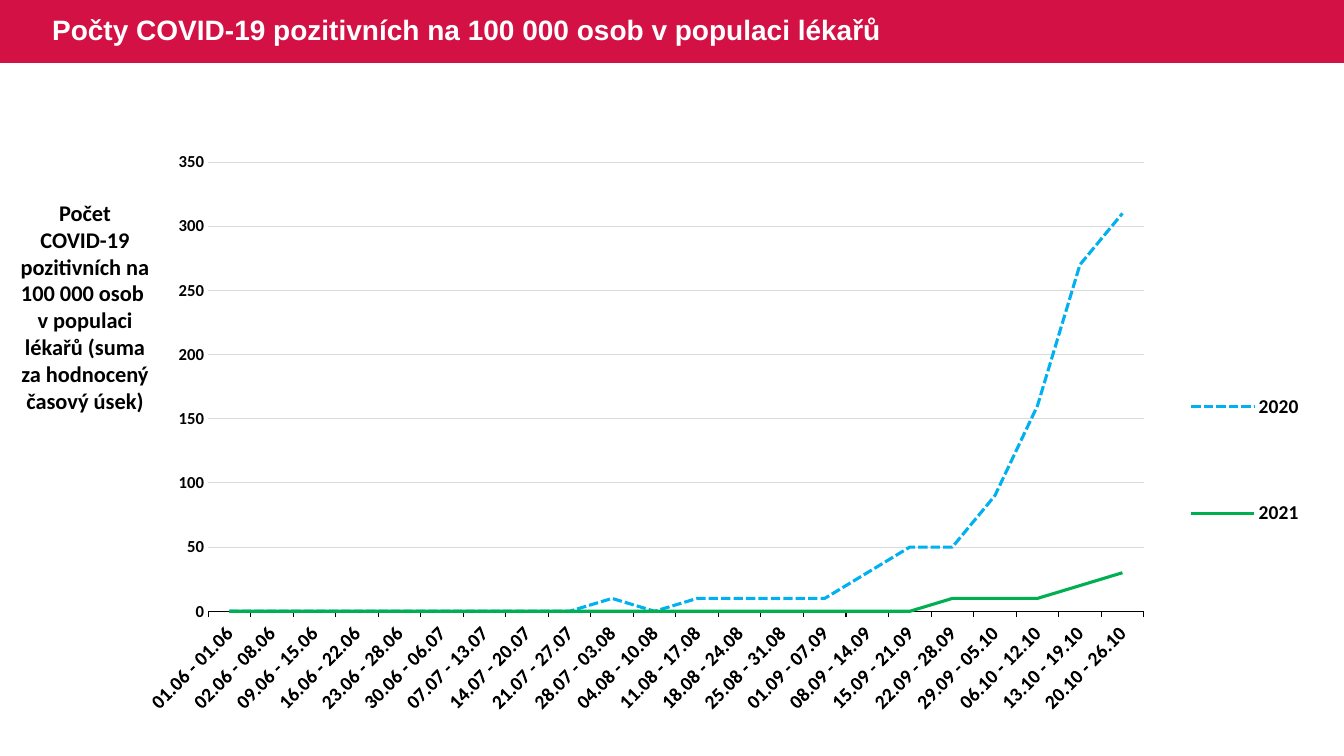
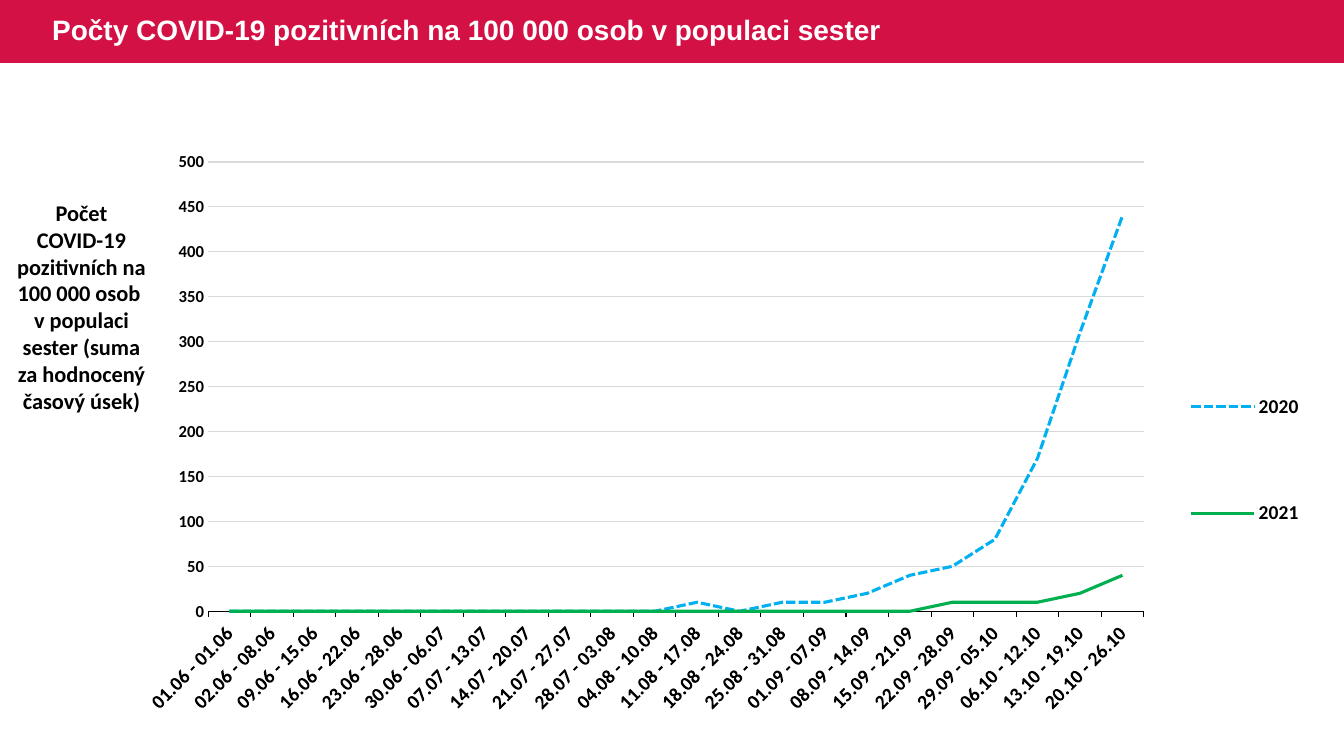
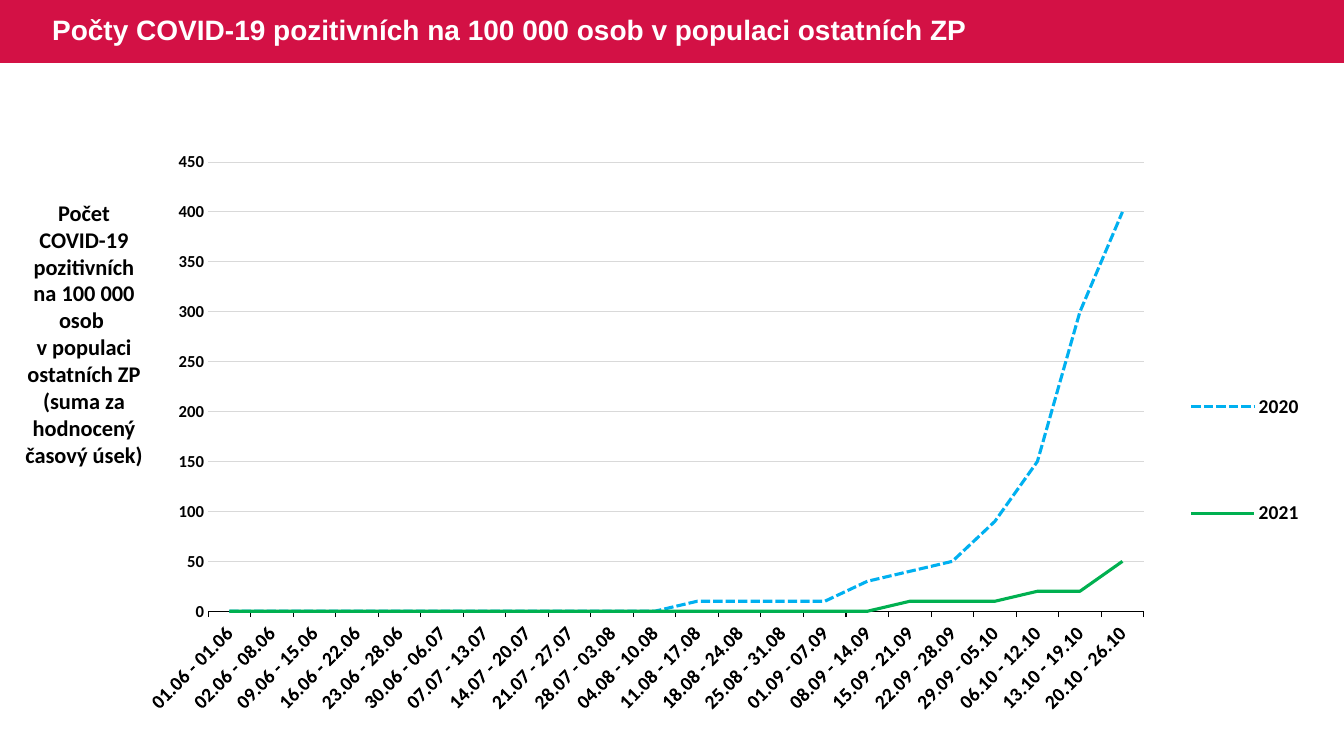
from dataclasses import dataclass

from lxml.etree import SubElement
from pptx import Presentation
from pptx.chart.chart import Chart
from pptx.chart.data import CategoryChartData
from pptx.dml.color import RGBColor
from pptx.enum.chart import XL_CHART_TYPE as ChartType
from pptx.enum.chart import XL_LEGEND_POSITION as LegendPosition
from pptx.enum.chart import XL_TICK_MARK as TickMark
from pptx.enum.dml import MSO_LINE as Dash
from pptx.enum.shapes import MSO_SHAPE as Preset
from pptx.enum.text import MSO_ANCHOR as Anchor
from pptx.enum.text import MSO_AUTO_SIZE as AutoSize
from pptx.enum.text import PP_ALIGN as Align
from pptx.oxml.ns import qn
from pptx.slide import Slide
from pptx.text.text import Font
from pptx.util import Emu, Pt

# Shared look
RED = RGBColor(0xD3, 0x11, 0x45)
WHITE = RGBColor(0xFF, 0xFF, 0xFF)
BLACK = RGBColor(0x00, 0x00, 0x00)
GRID_GREY = RGBColor(0xD9, 0xD9, 0xD9)
BLUE = RGBColor(0x00, 0xB0, 0xF0)
GREEN = RGBColor(0x00, 0xB0, 0x50)
TITLE_FONT = "Arial"
BODY_FONT = "Calibri"

PX_PER_INCH = 100.8
SLIDE_WIDTH, SLIDE_HEIGHT = 1344, 756
BAND_HEIGHT = 63
TITLE_LEFT = 42
LABEL_TOP = 194
CHART_BOX = (146, 152, 1175, 592)
PLOT_AREA = (0.045, 0.017, 0.803, 0.759)
LEGEND_AREA = (0.88, 0.27, 0.11, 0.5)

PERIODS = [
    "01.06 - 01.06", "02.06 - 08.06", "09.06 - 15.06", "16.06 - 22.06",
    "23.06 - 28.06", "30.06 - 06.07", "07.07 - 13.07", "14.07 - 20.07",
    "21.07 - 27.07", "28.07 - 03.08", "04.08 - 10.08", "11.08 - 17.08",
    "18.08 - 24.08", "25.08 - 31.08", "01.09 - 07.09", "08.09 - 14.09",
    "15.09 - 21.09", "22.09 - 28.09", "29.09 - 05.10", "06.10 - 12.10",
    "13.10 - 19.10", "20.10 - 26.10",
]


@dataclass(frozen=True)
class Population:
    name: str
    title_width: int
    label_left: int
    label_width: int
    label_height: int
    axis_max: int
    cases_2020: list[int]
    cases_2021: list[int]


POPULATIONS = [
    Population(
        "lékařů", 930, 6, 158, 228, 350,
        [0] * 9 + [10, 0, 10, 10, 10, 10, 30, 50, 50, 90, 160, 270, 310],
        [0] * 17 + [10, 10, 10, 20, 30],
    ),
    Population(
        "sester", 893, 5, 153, 228, 500,
        [0] * 11 + [10, 0, 10, 10, 20, 40, 50, 80, 170, 310, 440],
        [0] * 17 + [10, 10, 10, 20, 40],
    ),
    Population(
        "ostatních ZP", 954, 15, 138, 281, 450,
        [0] * 11 + [10, 10, 10, 10, 30, 40, 50, 90, 150, 300, 400],
        [0] * 16 + [10, 10, 10, 20, 20, 50],
    ),
]


def px(length: int) -> Emu:
    return Emu(round(length * 914400 / PX_PER_INCH))


def style_font(font: Font, name: str, size: int, color: RGBColor) -> None:
    font.name = name
    font.size = Pt(size)
    font.bold = True
    font.color.rgb = color


def add_band(deck: Presentation, page: Slide) -> None:
    """Draw the red band and move it to the back of the slide master."""
    band = page.shapes.add_shape(Preset.RECTANGLE, 0, 0, px(SLIDE_WIDTH), px(BAND_HEIGHT))
    band.shadow.inherit = False
    band.fill.solid()
    band.fill.fore_color.rgb = RED
    band.line.fill.background()
    deck.slide_master.shapes.element.insert(2, band.element)


def set_title(page: Slide, population: Population) -> None:
    title = page.shapes.title
    title.left, title.top = px(TITLE_LEFT), px(0)
    title.width, title.height = px(population.title_width), px(BAND_HEIGHT)
    frame = title.text_frame
    frame.text = f"Počty COVID-19 pozitivních na 100 000 osob v populaci {population.name}"
    frame.auto_size = AutoSize.NONE
    frame.vertical_anchor = Anchor.MIDDLE
    para = frame.paragraphs[0]
    para.alignment = Align.LEFT
    para.line_spacing = 0.9
    style_font(para.runs[0].font, TITLE_FONT, 20, WHITE)


def add_label(page: Slide, population: Population) -> None:
    box = page.shapes.add_textbox(
        px(population.label_left), px(LABEL_TOP),
        px(population.label_width), px(population.label_height),
    )
    frame = box.text_frame
    frame.word_wrap = True
    frame.auto_size = AutoSize.SHAPE_TO_FIT_TEXT
    para = frame.paragraphs[0]
    para.text = (
        "Počet COVID-19 pozitivních na 100 000 osob \v"
        f"v populaci {population.name} (suma za hodnocený časový úsek)"
    )
    para.alignment = Align.CENTER
    for span in para.runs:
        style_font(span.font, BODY_FONT, 16, BLACK)


def set_layout(parent, index: int, area: tuple[float, ...], inner: bool = False) -> None:
    """Place a chart part by fractions of the chart's size."""
    for old in parent.findall(qn("c:layout")):
        parent.remove(old)
    layout = SubElement(parent, qn("c:layout"))
    parent.insert(index, layout)
    manual = SubElement(layout, qn("c:manualLayout"))
    settings = [("layoutTarget", "inner")] if inner else []
    settings += [("xMode", "edge"), ("yMode", "edge")]
    settings += [(key, str(part)) for key, part in zip("xywh", area)]
    for tag, setting in settings:
        SubElement(manual, qn(f"c:{tag}")).set("val", setting)


def style_axes(chart: Chart, axis_max: int) -> None:
    periods = chart.category_axis
    periods.major_tick_mark = TickMark.OUTSIDE
    periods.minor_tick_mark = TickMark.NONE
    periods.format.line.color.rgb = BLACK
    periods.format.line.width = Pt(0.75)
    style_font(periods.tick_labels.font, BODY_FONT, 14, BLACK)
    body = periods._element.find(qn("c:txPr")).find(qn("a:bodyPr"))
    body.set("rot", "-2700000")
    body.set("vert", "horz")

    cases = chart.value_axis
    cases.minimum_scale, cases.maximum_scale, cases.major_unit = 0, axis_max, 50
    cases.major_tick_mark = cases.minor_tick_mark = TickMark.NONE
    cases.format.line.fill.background()
    cases.has_major_gridlines = True
    grid = cases.major_gridlines.format.line
    grid.color.rgb = GRID_GREY
    grid.width = Pt(0.75)
    style_font(cases.tick_labels.font, BODY_FONT, 12, BLACK)


def add_cases_chart(page: Slide, population: Population) -> None:
    data = CategoryChartData(number_format="0")
    data.categories = PERIODS
    data.add_series("2020", population.cases_2020)
    data.add_series("2021", population.cases_2021)
    chart = page.shapes.add_chart(ChartType.LINE, *map(px, CHART_BOX), data).chart
    chart.has_title = False
    style_font(chart.font, BODY_FONT, 14, BLACK)
    style_axes(chart, population.axis_max)

    # Yearly lines
    plot = chart.plots[0]
    plot.vary_by_categories = False
    for series, color, dash in zip(plot.series, (BLUE, GREEN), (Dash.SQUARE_DOT, Dash.SOLID)):
        series.smooth = False
        line = series.format.line
        line.color.rgb = color
        line.width = Pt(2.25)
        line.dash_style = dash

    # Legend and plot placement
    chart.has_legend = True
    legend = chart.legend
    legend.position = LegendPosition.RIGHT
    legend.include_in_layout = False
    style_font(legend.font, BODY_FONT, 14, BLACK)
    set_layout(legend._element, 1, LEGEND_AREA)
    set_layout(chart._chartSpace.chart.plotArea, 0, PLOT_AREA, inner=True)


def main() -> None:
    deck = Presentation()
    deck.slide_width, deck.slide_height = px(SLIDE_WIDTH), px(SLIDE_HEIGHT)
    title_only = deck.slide_layouts[5]
    pages = [deck.slides.add_slide(title_only) for _ in POPULATIONS]
    add_band(deck, pages[0])
    for page, population in zip(pages, POPULATIONS):
        set_title(page, population)
        add_cases_chart(page, population)
        add_label(page, population)
    deck.save("out.pptx")


if __name__ == "__main__":
    main()
